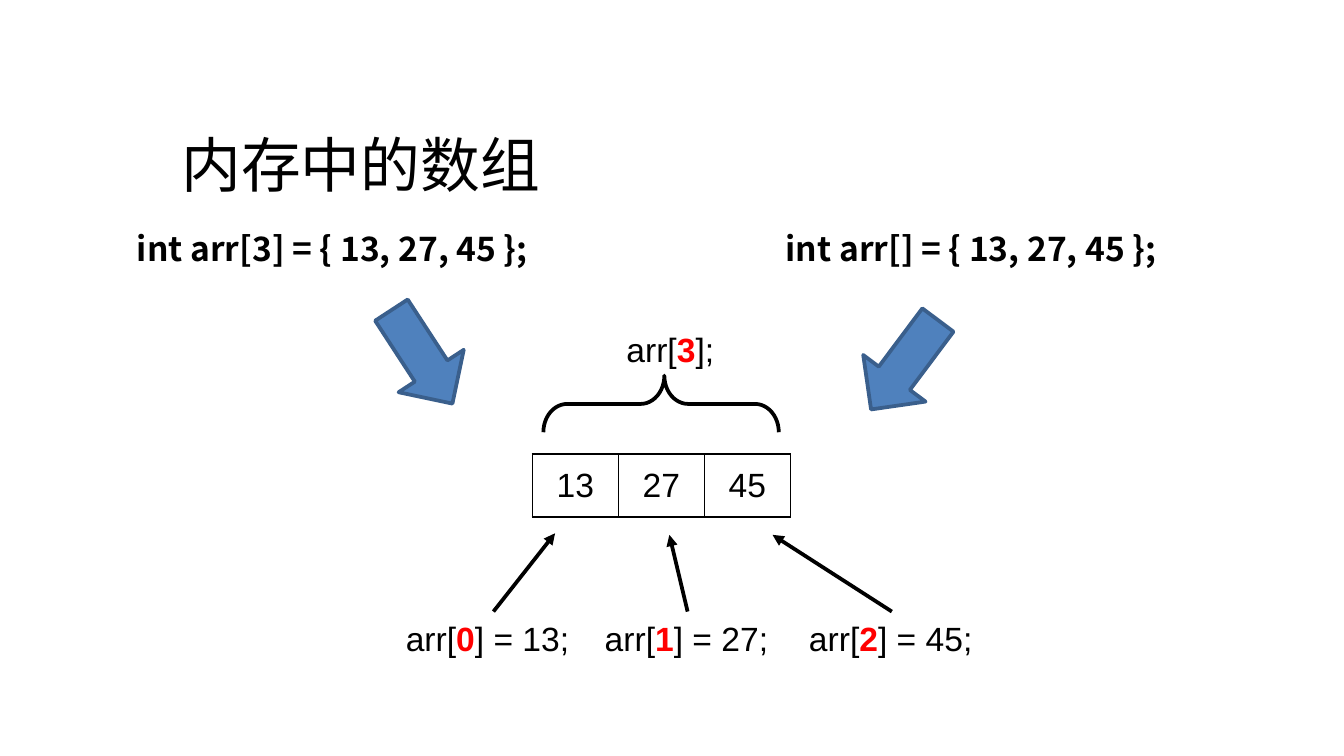
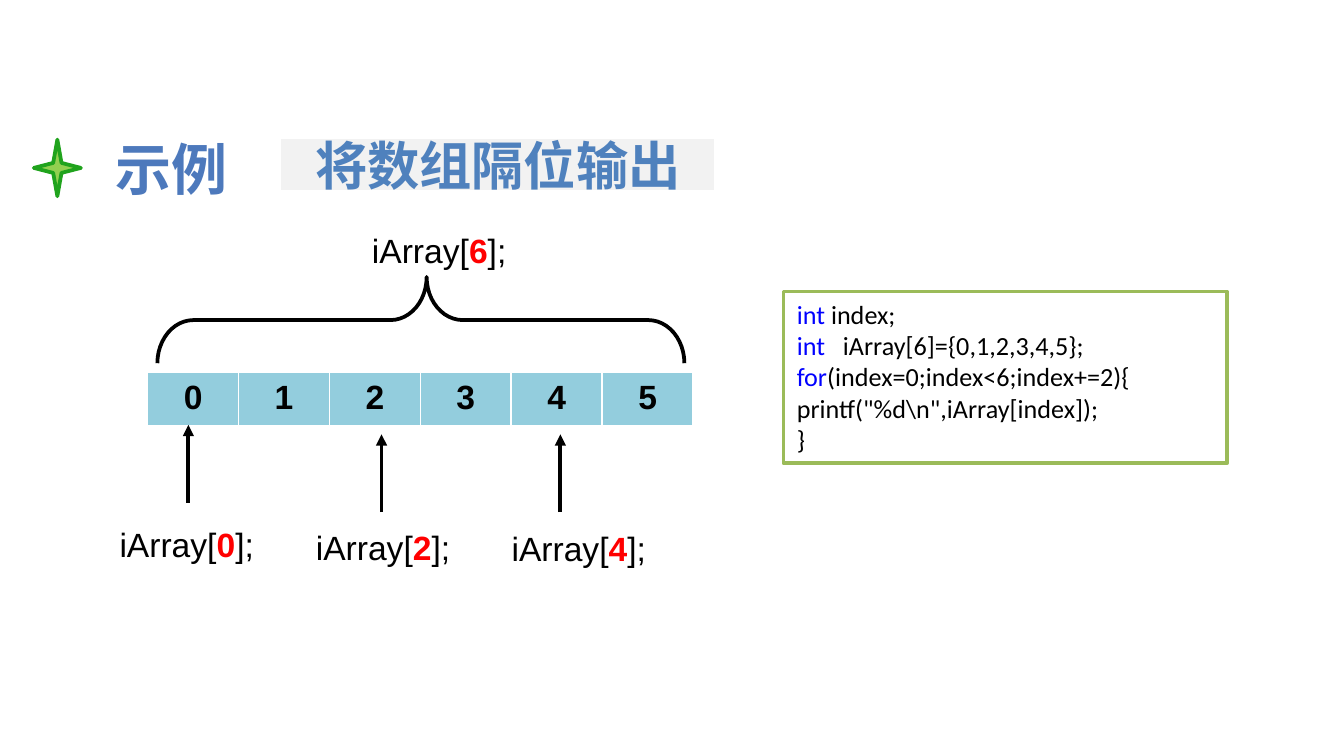
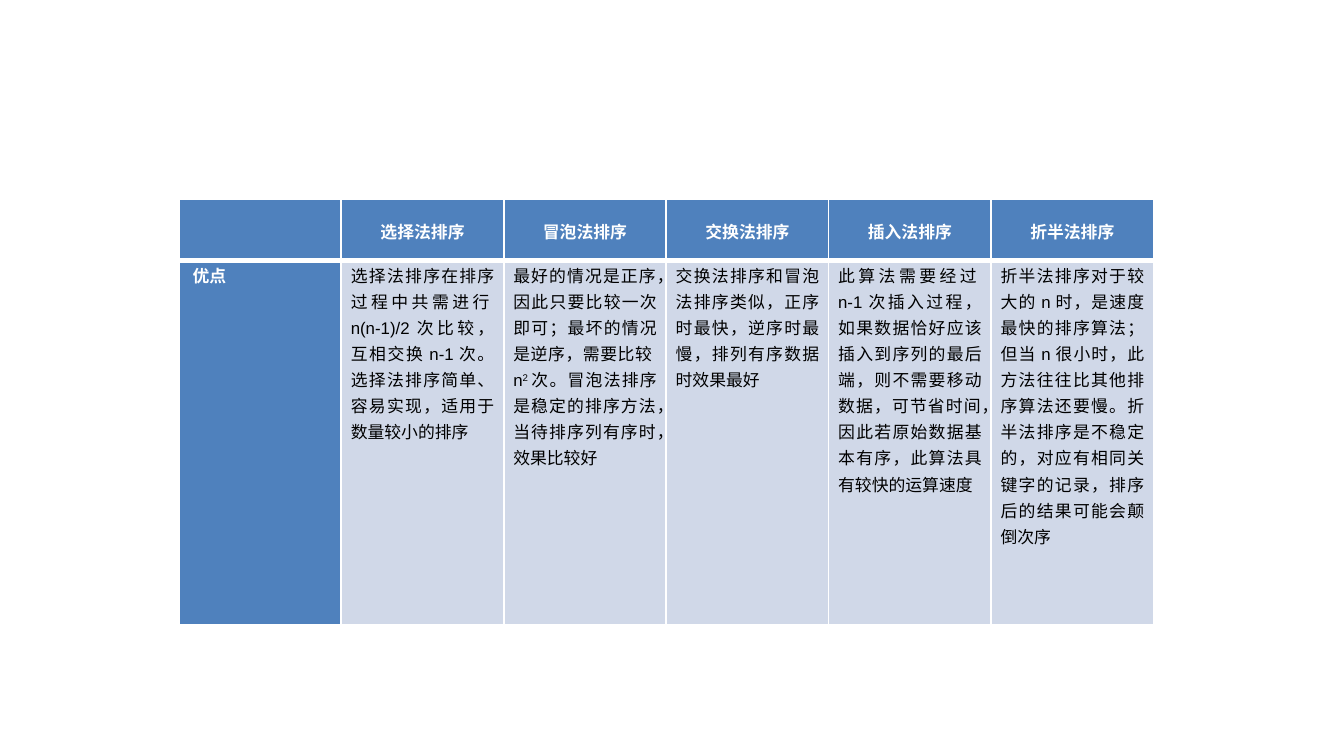
from dataclasses import dataclass

from lxml.etree import SubElement
from pptx import Presentation
from pptx.dml.color import RGBColor
from pptx.enum.shapes import MSO_CONNECTOR as Connector, MSO_SHAPE as Shape
from pptx.enum.text import MSO_ANCHOR as Anchor, PP_ALIGN as Align
from pptx.oxml.ns import qn
from pptx.util import Cm, Pt


@dataclass(frozen=True)
class Theme:
    black: str = "000000"
    white: str = "FFFFFF"
    red: str = "FF0000"
    keyword: str = "0000FF"
    blue: str = "4F81BD"
    blue_edge: str = "3A5F8C"
    pale_blue: str = "D0D8E8"
    aqua: str = "93CDDD"
    gray: str = "F2F2F2"
    olive: str = "9BBB59"
    star: str = "92D050"
    star_edge: str = "20A31D"
    heading_stops: tuple = ((0, "7494C9"), (49, "4D79BC"), (50, "346AAA"),
                            (92, "325F94"), (100, "315D91"))
    body_font: str = "Arial"
    code_font: str = "Calibri"
    han_font: str = "Noto Sans CJK SC"
    title_size: int = 32
    heading_size: int = 30
    banner_size: int = 28
    label_size: int = 18
    code_size: int = 14
    small_size: int = 9
    stroke: int = 2


THEME = Theme()
LABEL_HEIGHT = 1.02

DECLARATIONS = [("int arr[3] = { 13, 27, 45 };", 2.34, 9.63),
                ("int arr[] = { 13, 27, 45 };", 14.6, 9.3)]
VALUES = ["13", "27", "45"]
ELEMENTS = [("0", "] = 13;", 7.42, 3.81, (10.49, 10.08)),
            ("1", "] = 27;", 11.18, 3.63, (12.65, 10.11)),
            ("2", "] = 45;", 15.04, 3.63, (14.6, 10.11))]
BLOCK_ARROWS = [(7.24, 5.69, 326.9), (16.36, 5.84, 36.8)]

DIGITS = ["0", "1", "2", "3", "4", "5"]
ODD_PLACES = [("0", 2.01, 9.78, 3.56, 9.5), ("2", 5.72, 9.83, 7.21, 9.68),
              ("4", 9.42, 9.86, 10.59, 9.68)]
KEYWORD = {"color": THEME.keyword}
CODE = [[("int", KEYWORD), " index;"],
        [("int   ", KEYWORD), "iArray[6]={0,1,2,3,4,5};"],
        [("for", KEYWORD), "(index=0;index<6;index+=2){"],
        ['printf("%d\\n",iArray[index]);'],
        ["}"]]

SORTS = [
    ("选择法排序", ["选择法排序在排序过程中共需进行n(n-1)/2次比较，互相交换n-1次。"
              "选择法排序简单、容易实现，适用于数量较小的排序"]),
    ("冒泡法排序", ["最好的情况是正序，因此只要比较一次即可；最坏的情况是逆序，需要比较n",
              ("2", {"baseline": 30}),
              "次。冒泡法排序是稳定的排序方法，当待排序列有序时，效果比较好"]),
    ("交换法排序", ["交换法排序和冒泡法排序类似，正序时最快，逆序时最慢，"
              "排列有序数据时效果最好"]),
    ("插入法排序", ["此算法需要经过n-1次插入过程，如果数据恰好应该插入到序列的最后端，"
              "则不需要移动数据，可节省时间，因此若原始数据基本有序，"
              "此算法具有较快的运算速度"]),
    ("折半法排序", ["折半法排序对于较大的n时，是速度最快的排序算法；但当n很小时，"
              "此方法往往比其他排序算法还要慢。折半法排序是不稳定的，"
              "对应有相同关键字的记录，排序后的结果可能会颠倒次序"]),
]


def rgb(value):
    return RGBColor.from_string(value)


def lengths(*values):
    return [Cm(value) for value in values]


def style_span(span, size, font, color, bold, baseline=0, gradient=None):
    span.font.size, span.font.bold, span.font.name = Pt(size), bold, font
    props = span._r.get_or_add_rPr()
    SubElement(props, qn("a:ea")).set("typeface", THEME.han_font)
    if baseline:
        props.set("baseline", str(baseline * 1000))
    if not gradient:
        span.font.color.rgb = rgb(color)
        return
    span.font.fill.gradient()
    span.font.fill.gradient_angle = 270
    stops = props.find(".//" + qn("a:gsLst"))
    for stop in list(stops):
        stops.remove(stop)
    for place, shade in gradient:
        stop = SubElement(stops, qn("a:gs"), pos=str(place * 1000))
        SubElement(stop, qn("a:srgbClr"), val=shade)


def write(frame, lines, align=Align.LEFT, spacing=None, **style):
    style = {"size": THEME.label_size, "font": THEME.body_font,
             "color": THEME.black, "bold": False, **style}
    frame.word_wrap = True
    for number, line in enumerate(lines):
        para = frame.add_paragraph() if number else frame.paragraphs[0]
        para.alignment = align
        if spacing:
            para.line_spacing = Pt(spacing)
        for part in line:
            text, changes = (part, {}) if isinstance(part, str) else part
            span = para.add_run()
            span.text = text
            style_span(span, **{**style, **changes})


def add_text(page, place, line, inset=None, **style):
    box = page.shapes.add_textbox(*lengths(*place))
    if inset:
        box.text_frame.margin_left = Cm(inset)
    write(box.text_frame, [line], **style)
    return box


def add_label(page, left, top, width, parts, **style):
    before, index, after = parts
    line = [before, (index, {"color": THEME.red, "bold": True}), after]
    return add_text(page, (left, top, width, LABEL_HEIGHT), line, **style)


def add_figure(page, kind, place, fill=None, line=THEME.black, turn=0, bends=()):
    figure = page.shapes.add_shape(kind, *lengths(*place))
    figure.shadow.inherit = False
    figure.rotation = turn
    for number, bend in enumerate(bends):
        figure.adjustments[number] = bend
    if fill:
        figure.fill.solid()
        figure.fill.fore_color.rgb = rgb(fill)
    else:
        figure.fill.background()
    figure.line.color.rgb = rgb(line)
    figure.line.width = Pt(THEME.stroke)
    return figure


def add_brace(page, place, point):
    add_figure(page, Shape.RIGHT_BRACE, place, turn=270, bends=(0.419, point))


def add_arrow(page, start, end, label=None):
    arrow = page.shapes.add_connector(Connector.STRAIGHT, *lengths(*start, *end))
    if label:
        arrow.begin_connect(label, 0)
    arrow.line.color.rgb = rgb(THEME.black)
    arrow.line.width = Pt(THEME.stroke)
    SubElement(arrow.line._get_or_add_ln(), qn("a:tailEnd"), type="triangle")
    SubElement(arrow._element.spPr, qn("a:effectLst"))


def add_grid(page, place, rows, columns):
    left, top, width, heights = place
    frame = page.shapes.add_table(
        rows, columns, *lengths(left, top, width, sum(heights)))
    grid = frame.table
    grid.first_row = grid.horz_banding = False
    for column in grid.columns:
        column.width = Cm(width / columns)
    for row, height in zip(grid.rows, heights):
        row.height = Cm(height)
    return grid


def dress_cell(cell, fill, edge, top=1, bottom=1):
    if fill:
        cell.fill.solid()
        cell.fill.fore_color.rgb = rgb(fill)
    else:
        cell.fill.background()
    props = cell._tc.get_or_add_tcPr()
    sides = {"L": 1, "R": 1, "T": top, "B": bottom}
    for number, (side, weight) in enumerate(sides.items()):
        border = SubElement(props, qn(f"a:ln{side}"), w=str(Pt(weight)))
        paint = SubElement(border, qn("a:solidFill"))
        SubElement(paint, qn("a:srgbClr"), val=edge)
        props.insert(number, border)


def add_array(page, place, values, fill, edge, bottom, bold):
    grid = add_grid(page, place, 1, len(values))
    for cell, value in zip(grid.rows[0].cells, values):
        dress_cell(cell, fill, edge, bottom=bottom)
        cell.vertical_anchor = Anchor.TOP if fill else Anchor.MIDDLE
        write(cell.text_frame, [[value]], align=Align.CENTER, bold=bold)


def build_memory(page):
    add_text(page, (3.18, 2.29, 15.44, 1.7), ["内存中的数组"],
             size=THEME.title_size, font=THEME.code_font)
    for text, left, width in DECLARATIONS:
        add_text(page, (left, 4.19, width, LABEL_HEIGHT), [text],
                 font=THEME.han_font, bold=True)
    add_array(page, (10.06, 8.58, 4.88, [1.19]), VALUES,
              None, THEME.black, bottom=1, bold=False)
    add_label(page, 11.23, 6.1, 2.97, ("arr[", "3", "];"), inset=0.61)
    add_brace(page, (11.96, 5.41, 1.07, 4.45), 0.514)
    for index, ending, left, width, tip in ELEMENTS:
        top = 11.56
        label = add_label(page, left, top, width, ("arr[", index, ending))
        add_arrow(page, (left + width / 2, top), tip, label)
    for left, top, turn in BLOCK_ARROWS:
        add_figure(page, Shape.DOWN_ARROW, (left, top, 1.47, 2.11),
                   THEME.blue, THEME.blue_edge, turn)


def build_example(page):
    add_figure(page, Shape.STAR_4_POINT, (0.64, 2.64, 0.89, 1.07),
               THEME.star, THEME.star_edge)
    add_text(page, (1.91, 2.41, 2.67, 1.55), ["示例"], align=Align.CENTER,
             size=THEME.heading_size, bold=True, gradient=THEME.heading_stops)
    banner = add_figure(page, Shape.RECTANGLE, (5.28, 2.59, 8.26, 1.04),
                        THEME.gray, THEME.white)
    banner.text_frame.vertical_anchor = Anchor.MIDDLE
    write(banner.text_frame, [["将数组隔位输出"]], align=Align.CENTER,
          size=THEME.banner_size, font=THEME.code_font,
          color=THEME.blue, bold=True)
    listing = add_figure(page, Shape.RECTANGLE, (14.81, 5.51, 8.38, 3.25),
                         THEME.white, THEME.olive)
    listing.text_frame.vertical_anchor = Anchor.TOP
    write(listing.text_frame, CODE, size=THEME.code_size, font=THEME.code_font)
    add_array(page, (2.79, 7.04, 10.31, [1.04]), DIGITS,
              THEME.aqua, THEME.white, bottom=3, bold=True)
    add_brace(page, (7.14, 1.07, 1.63, 9.96), 0.511)
    add_label(page, 6.78, 4.22, 3.07, ("iArray[", "6", "];"))
    for index, left, top, arrow_x, arrow_y in ODD_PLACES:
        add_label(page, left, top, 3.07, ("iArray[", index, "];"))
        add_arrow(page, (arrow_x, arrow_y), (arrow_x, arrow_y - 1.47))


def build_comparison(page):
    grid = add_grid(page, (3.38, 3.76, 18.42, [1.17, 6.88]), 2, len(SORTS) + 1)
    heads = [None] + [[name] for name, merits in SORTS]
    merits = [["优点"]] + [merits for name, merits in SORTS]
    for row, lines in enumerate((heads, merits)):
        for column, line in enumerate(lines):
            cell = grid.cell(row, column)
            strong = row == 0 or column == 0
            dress_cell(cell, THEME.blue if strong else THEME.pale_blue,
                       THEME.white, top=3 if row else 1, bottom=1 if row else 3)
            if line is None:
                continue
            cell.margin_left = Cm(0.18 if column else 0.26)
            cell.margin_right = Cm(0.18)
            cell.margin_top = cell.margin_bottom = 0
            cell.vertical_anchor = Anchor.TOP if row else Anchor.MIDDLE
            write(cell.text_frame, [line], spacing=14, size=THEME.small_size,
                  align=Align.JUSTIFY if row else Align.CENTER, bold=strong,
                  color=THEME.white if strong else THEME.black)


def main():
    deck = Presentation()
    deck.slide_width, deck.slide_height = lengths(25.4, 14.29)
    for build in (build_memory, build_example, build_comparison):
        build(deck.slides.add_slide(deck.slide_layouts[6]))
    deck.save("out.pptx")


if __name__ == "__main__":
    main()
